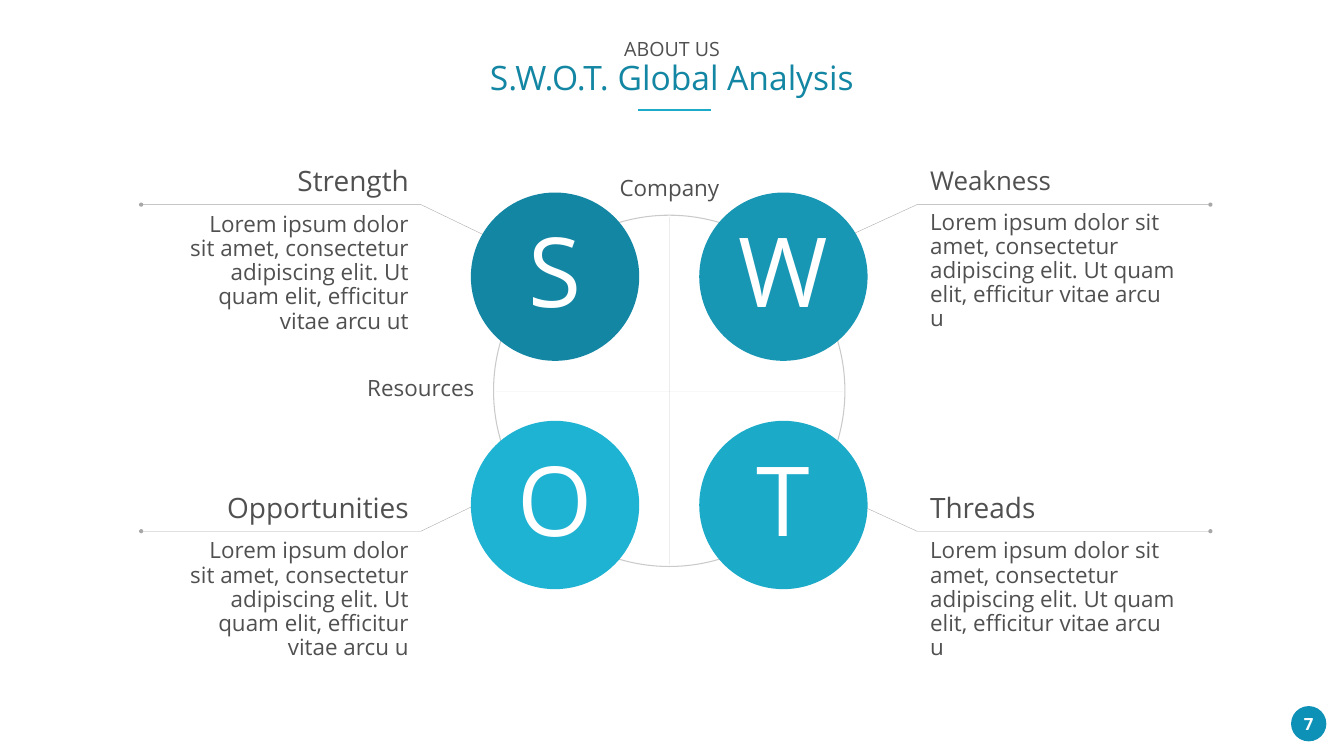
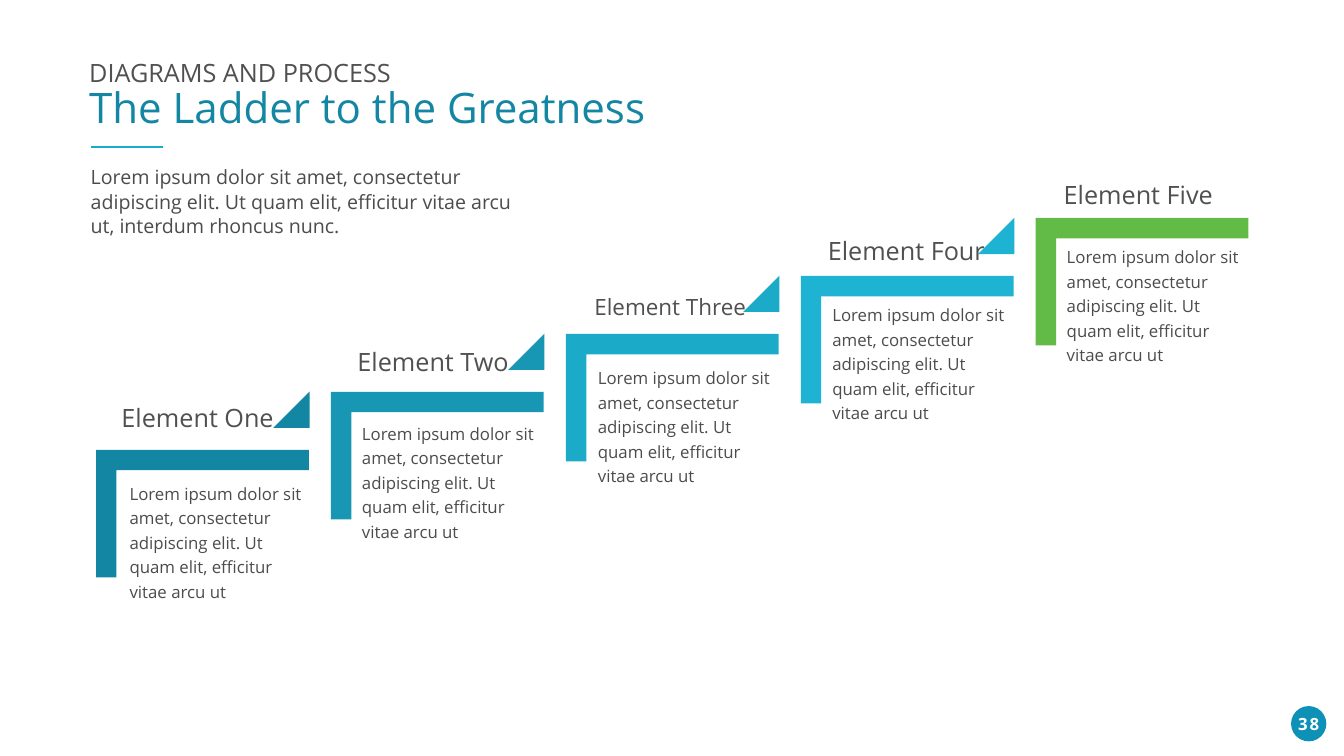
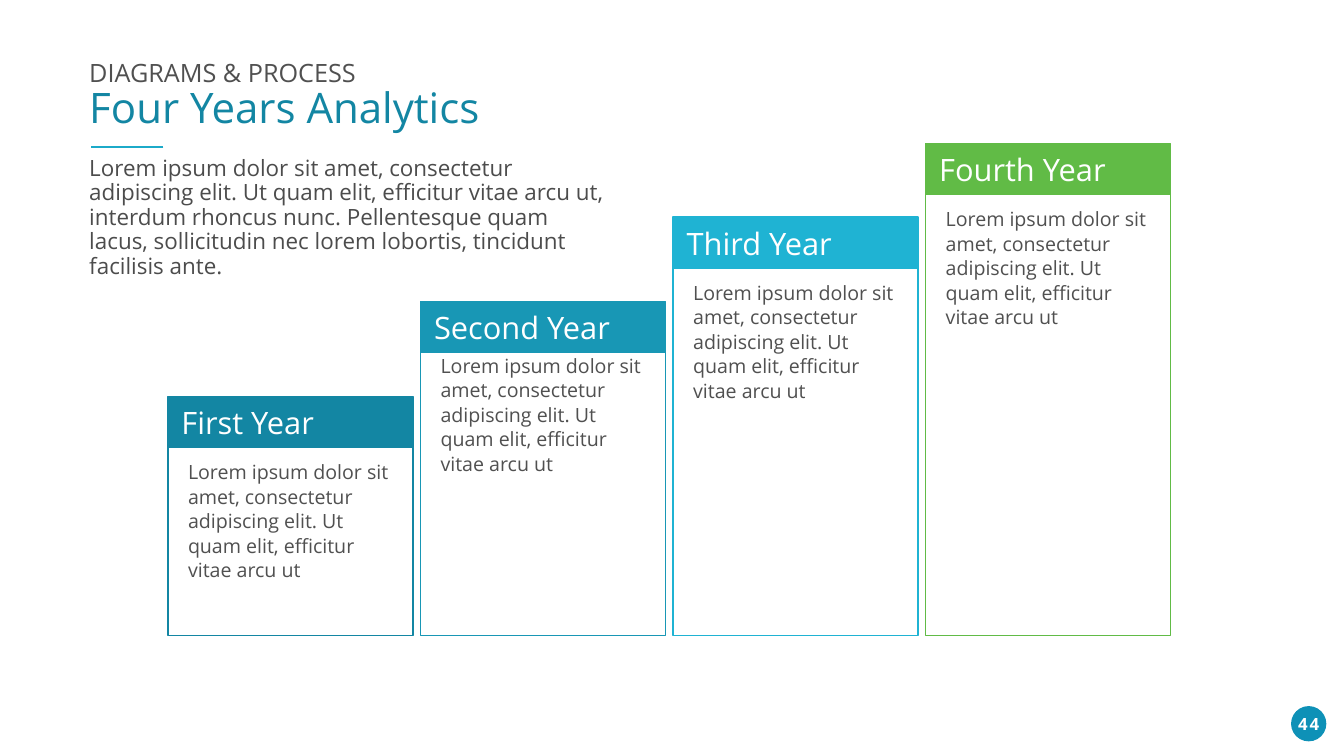
"""Builds three slides: a SWOT wheel, a five-step ladder and a four-year staircase."""
from dataclasses import dataclass
from typing import NamedTuple, Optional, Sequence

from lxml.etree import SubElement
from pptx import Presentation
from pptx.dml.color import RGBColor
from pptx.enum.shapes import MSO_CONNECTOR, MSO_SHAPE as Shape
from pptx.enum.text import MSO_ANCHOR as Anchor, MSO_AUTO_SIZE as AutoSize, PP_ALIGN as Align
from pptx.oxml.ns import qn
from pptx.util import Inches, Pt

FONT = "Open Sans"
GREY, INTRO_GREY, PALE, WHITE = "505050", "4C4C4C", "B2B2B2", "FFFFFF"
DEEP, TEAL, AQUA, SKY, GREEN = "1386A3", "1897B5", "1CAAC9", "1FB3D3", "61BB46"
BADGE = "0E91B7"
TITLE_ONLY, TITLE_AND_BODY = 5, 1
LOREM = "Lorem ipsum dolor sit amet, consectetur adipiscing elit. Ut quam elit, efficitur vitae arcu u"
LOREM_FULL = LOREM + "t"


class Box(NamedTuple):
    left: float
    top: float
    width: float
    height: float


@dataclass
class Para:
    text: str
    size: float
    color: str = GREY
    align: Align = Align.LEFT
    spacing: Optional[float] = None
    before: float = 0
    bold: bool = False


@dataclass
class Quadrant:
    letter: str
    color: str
    heading: str
    detail: str
    column: int
    row: int
    text_box: Box
    heading_size: float = 40


@dataclass
class Step:
    label: str
    color: str
    label_box: Box
    detail_box: Box
    label_size: float = 36


@dataclass
class Year:
    name: str
    color: str
    header_top: float
    body_top: float


QUADRANTS = [
    Quadrant("S", DEEP, "Strength", LOREM_FULL, 0, 0, Box(3.41, 3.23, 4.97, 3.53)),
    Quadrant("W", TEAL, "Weakness", LOREM, 1, 0, Box(18.18, 3.23, 5.51, 3), 37),
    Quadrant("O", SKY, "Opportunities", LOREM, 0, 1, Box(3.41, 9.71, 4.97, 3.53)),
    Quadrant("T", AQUA, "Threads", LOREM, 1, 1, Box(18.18, 9.71, 5.51, 3.04)),
]
STEPS = [
    Step("Element One", DEEP, Box(2.21, 7.93, 3.36, 0.71), Box(2.57, 9.41, 3.56, 2.62)),
    Step("Element Two", TEAL, Box(6.89, 6.83, 3.34, 0.71), Box(7.18, 8.22, 3.61, 2.62)),
    Step("Element Three", AQUA, Box(11.59, 5.77, 3.34, 0.64), Box(11.86, 7.12, 3.56, 2.62), 32),
    Step("Element Four", SKY, Box(16.22, 4.62, 3.45, 0.71), Box(16.51, 5.87, 3.61, 2.62)),
    Step("Element Five", GREEN, Box(20.9, 3.51, 3.3, 0.71), Box(21.16, 4.72, 3.61, 2.62)),
]
YEARS = [
    Year("First Year", DEEP, 7.87, 8.88),
    Year("Second Year", TEAL, 5.98, 6.77),
    Year("Third Year", SKY, 4.31, 5.32),
    Year("Fourth Year", GREEN, 2.85, 3.86),
]


def rgb(color: str) -> RGBColor:
    """Turn a hex string into a colour."""
    return RGBColor.from_string(color)


def emu(values: Sequence[float]) -> list:
    """Turn inches into lengths."""
    return [Inches(value) for value in values]


def write(frame, paras: Sequence[Para], insets=(0.1, 0.05, 0.1, 0.05),
          anchor=Anchor.TOP, wrap: bool = True, grow: bool = False) -> None:
    """Fill a text frame with formatted paragraphs."""
    frame.margin_left, frame.margin_top, frame.margin_right, frame.margin_bottom = emu(insets)
    frame.vertical_anchor = anchor
    frame.word_wrap = wrap
    frame.auto_size = AutoSize.SHAPE_TO_FIT_TEXT if grow else AutoSize.NONE
    for index, para in enumerate(paras):
        paragraph = frame.add_paragraph() if index else frame.paragraphs[0]
        paragraph.text = para.text
        paragraph.alignment = para.align
        paragraph.space_before = Pt(para.before)
        if para.spacing:
            paragraph.line_spacing = para.spacing
        font = paragraph.font
        font.name, font.size, font.bold = FONT, Pt(para.size), para.bold
        font.color.rgb = rgb(para.color)


def add_text(slide, box: Box, paras: Sequence[Para], **layout) -> None:
    """Add a text box."""
    write(slide.shapes.add_textbox(*emu(box)).text_frame, paras, **layout)


def style_line(line, color: str, width: float, opacity: int = 100) -> None:
    """Set a line's colour, width and opacity."""
    line.color.rgb = rgb(color)
    line.width = Pt(width)
    if opacity < 100:
        tint = line._get_or_add_ln().find(".//" + qn("a:srgbClr"))
        SubElement(tint, qn("a:alpha"), val=str(opacity * 1000))


def add_shape(slide, kind, box: Box, fill: Optional[str] = None,
              line: Optional[str] = None, width: float = 2.25, opacity: int = 100):
    """Add a flat preset shape."""
    shape = slide.shapes.add_shape(kind, *emu(box))
    shape.shadow.inherit = False
    if fill:
        shape.fill.solid()
        shape.fill.fore_color.rgb = rgb(fill)
    else:
        shape.fill.background()
    if line:
        style_line(shape.line, line, width, opacity)
    else:
        shape.line.fill.background()
    return shape


def add_line(slide, start: tuple, end: tuple, color: str, width: float, opacity: int = 100) -> None:
    """Add a straight line without shadow."""
    line = slide.shapes.add_connector(MSO_CONNECTOR.STRAIGHT, *emu(start + end))
    style_line(line.line, color, width, opacity)
    SubElement(line._element.spPr, qn("a:effectLst"))


def add_leader(slide, points: Sequence[tuple]) -> None:
    """Add a bent leader line ending in a dot."""
    first, *rest = [tuple(emu(point)) for point in points]
    builder = slide.shapes.build_freeform(*first)
    builder.add_line_segments(rest, close=False)
    leader = builder.convert_to_shape()
    leader.shadow.inherit = False
    leader.fill.background()
    style_line(leader.line, GREY, 0.5, 50)
    SubElement(leader.line._get_or_add_ln(), qn("a:tailEnd"), type="oval")


def start_slide(deck, layout: int, number: int, kicker: str, title: str, title_box: Box,
                rule: tuple, sizes=(36, 60), align=Align.LEFT):
    """Add a slide with its title, rule and page badge."""
    slide = deck.slides.add_slide(deck.slide_layouts[layout])
    badge = add_shape(slide, Shape.OVAL, Box(25.61, 14.01, 0.7, 0.7), BADGE)
    write(badge.text_frame, [Para(str(number), 24, WHITE, Align.CENTER, bold=True)],
          insets=(0, 0, 0, 0), anchor=Anchor.MIDDLE, wrap=False)
    badge.text_frame.paragraphs[0].runs[0]._r.get_or_add_rPr().set("spc", "300")
    heading = slide.shapes.title
    heading.left, heading.top, heading.width, heading.height = emu(title_box)
    write(heading.text_frame, [Para(kicker, sizes[0], GREY, align, 0.9),
                               Para(title, sizes[1], DEEP, align, 0.9)], wrap=False, grow=True)
    rule_left, rule_top = rule
    add_line(slide, (rule_left + 1.44, rule_top), (rule_left, rule_top), AQUA, 3)
    return slide


def add_intro(slide, box: Box, text: str, size: float) -> None:
    """Put the introduction in the body placeholder, without bullet."""
    body = slide.placeholders[1]
    body.left, body.top, body.width, body.height = emu(box)
    write(body.text_frame, [Para(text, size, INTRO_GREY, spacing=Pt(35), before=30)],
          insets=(0, 0, 0, 0), anchor=Anchor.MIDDLE)
    properties = body.text_frame.paragraphs[0]._p.get_or_add_pPr()
    properties.set("marL", "0")
    properties.set("indent", "0")
    bullet = SubElement(properties, qn("a:buNone"))
    properties.find(qn("a:spcBef")).addnext(bullet)


def build_swot(deck) -> None:
    """Draw the SWOT wheel."""
    slide = start_slide(deck, TITLE_ONLY, 7, "ABOUT US", "S.W.O.T. Global Analysis",
                        Box(9.58, 0.74, 7.5, 1.25), (12.66, 2.18), (28, 48), Align.CENTER)
    for quadrant in QUADRANTS:
        near, bend, far = ((9.74, 8.35, 2.8), (16.73, 18.19, 24.01))[quadrant.column]
        inner, outer = ((4.73, 4.06), (9.87, 10.54))[quadrant.row]
        add_leader(slide, [(near, inner), (bend, outer), (far, outer)])
    add_shape(slide, Shape.OVAL, Box(9.79, 4.27, 6.97, 6.97), None, PALE, 1.5, 67)
    for quadrant in QUADRANTS:
        disc_box = Box(9.34 + 4.53 * quadrant.column, 3.82 + 4.53 * quadrant.row, 3.34, 3.34)
        disc = add_shape(slide, Shape.OVAL, disc_box, quadrant.color)
        write(disc.text_frame, [Para(quadrant.letter, 138, WHITE, Align.CENTER, 0.9)],
              insets=(0.66,) * 4, anchor=Anchor.MIDDLE, wrap=False)
        align = Align.LEFT if quadrant.column else Align.RIGHT
        add_text(slide, quadrant.text_box,
                 [Para(quadrant.heading, quadrant.heading_size, GREY, align, 0.9, 21.3),
                  Para(quadrant.detail, 32, GREY, align, 0.9, 21.3)],
                 insets=(0.27, 0.1, 0.27, 0.1), grow=True)
    add_line(slide, (13.28, 4.31), (13.28, 11.2), PALE, 0.25, 67)
    add_line(slide, (16.72, 7.76), (9.83, 7.76), PALE, 0.25, 67)
    for axis, box, align in (("Resources", Box(7.26, 7.33, 2.15, 0.74), Align.RIGHT),
                             ("Company", Box(12.28, 3.35, 2, 0.74), Align.CENTER)):
        add_text(slide, box, [Para(axis, 32, GREY, align)],
                 insets=(0, 0.1, 0, 0.1), wrap=False, grow=True)


def build_ladder(deck) -> None:
    """Draw the five-step ladder."""
    slide = start_slide(deck, TITLE_AND_BODY, 38, "DIAGRAMS AND PROCESS",
                        "The Ladder to the Greatness", Box(1.67, 1.15, 11.34, 1.56), (1.8, 2.92))
    add_intro(slide, Box(1.8, 3, 8.51, 1.97),
              "Lorem ipsum dolor sit amet, consectetur adipiscing elit. "
              "Ut quam elit, efficitur vitae arcu ut, interdum rhoncus nunc.", 28)
    for index, step in enumerate(STEPS):
        left, top = 2.75 + 4.66 * index, 8.08 - 1.15 * index
        corner = add_shape(slide, Shape.CORNER, Box(left, top, 2.53, 4.22), step.color)
        corner.rotation = 90
        for arm in range(2):
            corner.adjustments[arm] = 0.16
        if step is not STEPS[-1]:
            riser_box = Box(left + 2.67, top - 0.31, 0.72, 0.72)
            riser = add_shape(slide, Shape.ISOSCELES_TRIANGLE, riser_box, step.color)
            riser.adjustments[0] = 1
        add_text(slide, step.detail_box,
                 [Para(LOREM_FULL, 24, INTRO_GREY, spacing=Pt(35), before=30)],
                 insets=(0, 0, 0, 0), anchor=Anchor.MIDDLE)
        add_text(slide, step.label_box, [Para(step.label, step.label_size)],
                 insets=(0.2, 0.05, 0.1, 0.05), wrap=False, grow=True)


def build_years(deck) -> None:
    """Draw the four-year staircase."""
    slide = start_slide(deck, TITLE_AND_BODY, 44, "DIAGRAMS & PROCESS",
                        "Four Years Analytics", Box(1.67, 1.15, 8.02, 1.56), (1.8, 2.92))
    add_intro(slide, Box(1.77, 3.13, 10.3, 2.38),
              "Lorem ipsum dolor sit amet, consectetur adipiscing elit. Ut quam elit, "
              "efficitur vitae arcu ut, interdum rhoncus nunc. Pellentesque quam lacus, "
              "sollicitudin nec lorem lobortis, tincidunt facilisis ante.", 32)
    width, floor = 4.86, 12.61
    for index, year in enumerate(YEARS):
        left = 3.33 + 5.01 * index
        header = add_shape(slide, Shape.RECTANGLE, Box(left, year.header_top, width, 1.01),
                           year.color, year.color)
        write(header.text_frame, [Para(year.name, 44, WHITE)],
              insets=(0.27, 0.13, 0.27, 0.13), anchor=Anchor.BOTTOM, grow=True)
        column = add_shape(slide, Shape.RECTANGLE,
                           Box(left, year.body_top, width, floor - year.body_top),
                           None, year.color)
        write(column.text_frame, [Para(LOREM_FULL, 28, spacing=Pt(35))],
              insets=(0.4, 0.23, 0.4, 0.13))


def main() -> None:
    """Build and save the presentation."""
    deck = Presentation()
    deck.slide_width, deck.slide_height = emu((26.66, 15))
    build_swot(deck)
    build_ladder(deck)
    build_years(deck)
    deck.save("out.pptx")


if __name__ == "__main__":
    main()
